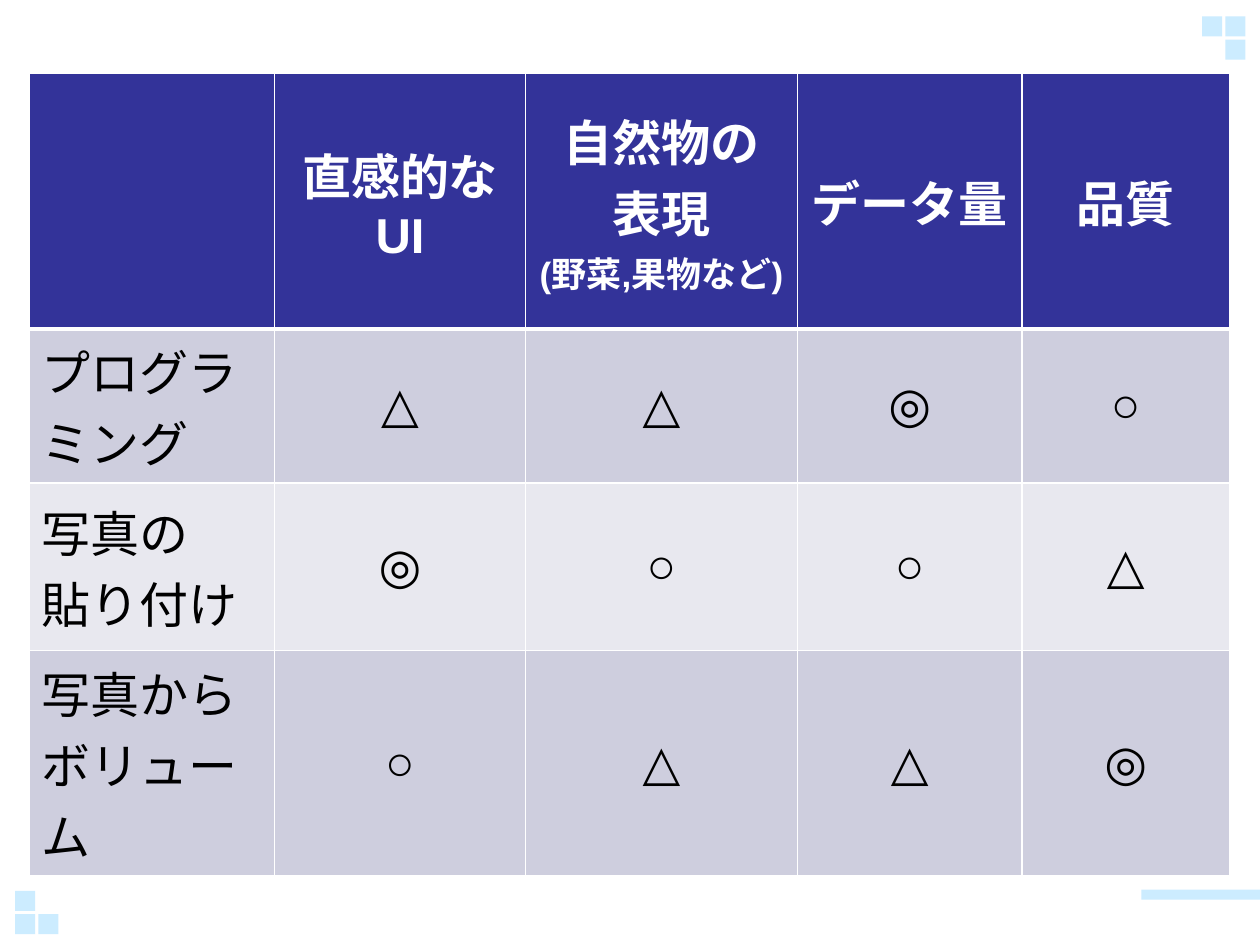
from lxml.etree import SubElement
from pptx import Presentation
from pptx.dml.color import RGBColor
from pptx.enum.lang import MSO_LANGUAGE_ID
from pptx.enum.shapes import MSO_SHAPE
from pptx.enum.text import MSO_ANCHOR, PP_ALIGN
from pptx.oxml.ns import qn
from pptx.util import Inches, Pt

COLORS = {
    "header": "333399",
    "odd": "CECEDE",
    "even": "E8E8EF",
    "accent": "CCECFF",
    "white": "FFFFFF",
    "black": "000000",
}
FONT = "Arial"
TEXT_SIZE, NOTE_SIZE = 28, 20
COLUMN_WIDTHS = [1.95, 1.99, 2.16, 1.78, 1.65]
ROW_HEIGHTS = [1.37, 1.22, 1.33, 1.33]
SQUARE, STEP = 0.16, 0.185
# \v is a line break inside a paragraph
ROWS = [
    ["", "直感的なUI", "自然物の\v表現\v(野菜,果物など)", "データ量", "品質"],
    ["プログラミング", "△", "△", "◎", "○"],
    ["写真の\v貼り付け", "◎", "○", "○", "△"],
    ["写真からボリューム", "○", "△", "△", "◎"],
]


def rgb(name):
    return RGBColor.from_string(COLORS[name])


def add_block(page, left, top, width, height):
    block = page.shapes.add_shape(
        MSO_SHAPE.RECTANGLE, Inches(left), Inches(top), Inches(width), Inches(height))
    block.shadow.inherit = False
    block.fill.solid()
    block.fill.fore_color.rgb = rgb("accent")
    block.line.fill.background()


def add_squares(page, left, top, places):
    for column, row in places:
        add_block(page, left + column * STEP, top + row * STEP, SQUARE, SQUARE)


def set_borders(cell, top, bottom):
    properties = cell._tc.get_or_add_tcPr()
    for side, width in (("L", 1), ("R", 1), ("T", top), ("B", bottom)):
        line = SubElement(properties, qn(f"a:ln{side}"), w=str(Pt(width)))
        fill = SubElement(line, qn("a:solidFill"))
        SubElement(fill, qn("a:srgbClr"), val=COLORS["white"])


def format_cell(cell, text, row, column):
    is_header = row == 0
    set_borders(cell, top=3 if row == 1 else 1, bottom=3 if is_header else 1)
    cell.fill.solid()
    cell.fill.fore_color.rgb = rgb("header" if is_header else "odd" if row % 2 else "even")
    cell.vertical_anchor = MSO_ANCHOR.MIDDLE
    para = cell.text_frame.paragraphs[0]
    para.text = text
    para.alignment = PP_ALIGN.CENTER if is_header or column else PP_ALIGN.LEFT
    for span in para.runs:
        font = span.font
        font.name = FONT
        font.language_id = MSO_LANGUAGE_ID.JAPANESE
        font.size = Pt(NOTE_SIZE if span.text.startswith("(") else TEXT_SIZE)
        font.bold = is_header
        font.color.rgb = rgb("white" if is_header else "black")


def add_comparison(page):
    table = page.shapes.add_table(
        len(ROWS), len(COLUMN_WIDTHS), Inches(0.23), Inches(0.58),
        Inches(sum(COLUMN_WIDTHS)), Inches(sum(ROW_HEIGHTS))).table
    for column, width in zip(table.columns, COLUMN_WIDTHS):
        column.width = Inches(width)
    for row, height in zip(table.rows, ROW_HEIGHTS):
        row.height = Inches(height)
    for row, texts in enumerate(ROWS):
        for column, text in enumerate(texts):
            format_cell(table.cell(row, column), text, row, column)


def main():
    deck = Presentation()
    deck.slide_width, deck.slide_height = Inches(10), Inches(7.5)
    page = deck.slides.add_slide(deck.slide_layouts[6])

    # Corner decoration
    add_block(page, 9.06, 7.06, 0.94, 0.08)
    add_squares(page, 9.54, 0.13, [(1, 0), (0, 0), (1, 1)])
    add_squares(page, 0.12, 7.07, [(0, 1), (1, 1), (0, 0)])

    # Comparison of modelling methods
    add_comparison(page)
    deck.save("out.pptx")


if __name__ == "__main__":
    main()
